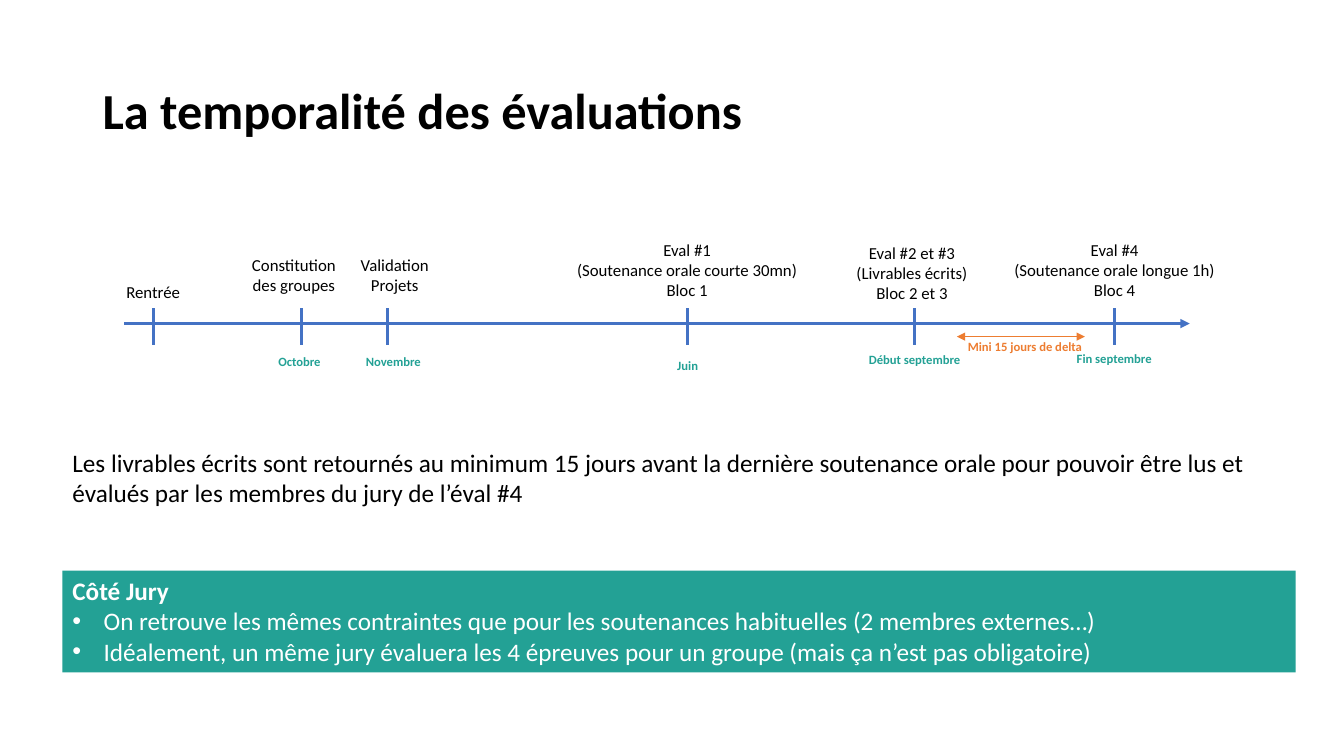
import pptx
import pptx.util
import pptx.dml.color
import pptx.enum.shapes
import pptx.enum.text
import pptx.oxml.ns
from lxml import etree
from pptx.util import Inches

BLACK, WHITE = "000000", "FFFFFF"
BLUE, TEAL, ORANGE = "4472C4", "23A195", "ED7D31"
LEFT = pptx.enum.text.PP_ALIGN.LEFT
CENTER = pptx.enum.text.PP_ALIGN.CENTER

MILESTONES = [
    (1.52, ["Rentrée"], (1.01, 2.75, 1.02, 0.3), None, None),
    (2.99, ["Constitution des groupes"], (2.39, 2.48, 1.05, 0.5), "Octobre", (2.41, 3.46)),
    (3.84, ["Validation Projets"], (3.44, 2.48, 0.95, 0.5), "Novembre", (3.34, 3.46)),
    (6.82, ["Eval #1", "(Soutenance orale courte 30mn)", "Bloc 1"],
     (5.62, 2.33, 2.39, 0.71), "Juin", (6.26, 3.5)),
    (9.07, ["Eval #2 et #3", "(Livrables écrits)", "Bloc 2 et 3"],
     (7.85, 2.36, 2.39, 0.71), "Début septembre", (8.51, 3.44)),
    (11.05, ["Eval #4", "(Soutenance orale longue 1h)", "Bloc 4"],
     (9.86, 2.33, 2.39, 0.71), "Fin septembre", (10.49, 3.43)),
]


def color(value):
    return pptx.dml.color.RGBColor.from_string(value)


def add_child(parent, tag, **attributes):
    return etree.SubElement(parent, pptx.oxml.ns.qn(tag), **attributes)


def style_paragraph(paragraph, text, size, text_color, bold=False, align=LEFT):
    paragraph.text = text
    paragraph.alignment = align
    font = paragraph.font
    font.name = "Calibri"
    font.size = pptx.util.Pt(size)
    font.bold = bold
    font.color.rgb = color(text_color)


def add_text(slide, box, lines, size, text_color, bold=False, align=LEFT):
    shape = slide.shapes.add_textbox(*map(Inches, box))
    frame = shape.text_frame
    frame.word_wrap = True
    for index, line in enumerate(lines):
        paragraph = frame.add_paragraph() if index else frame.paragraphs[0]
        style_paragraph(paragraph, line, size, text_color, bold, align)


def add_line(slide, start, end, line_color, width, arrowheads=()):
    connector = slide.shapes.add_connector(
        pptx.enum.shapes.MSO_CONNECTOR.STRAIGHT, *map(Inches, start + end))
    connector.line.color.rgb = color(line_color)
    connector.line.width = pptx.util.Pt(width)
    outline = connector.line._get_or_add_ln()
    for arrowhead in arrowheads:
        add_child(outline, arrowhead, type="triangle")
    add_child(connector._element.spPr, "a:effectLst")


def add_bullet(paragraph):
    properties = paragraph._p.get_or_add_pPr()
    properties.set("marL", str(Inches(0.31)))
    properties.set("indent", str(Inches(-0.31)))
    bullet_color = add_child(properties, "a:buClr")
    add_child(bullet_color, "a:srgbClr", val=WHITE)
    add_child(properties, "a:buFont", typeface="Arial")
    add_child(properties, "a:buChar", char="•")


def add_banner(slide, box, heading, items):
    shape = slide.shapes.add_shape(
        pptx.enum.shapes.MSO_SHAPE.RECTANGLE, *map(Inches, box))
    shape.shadow.inherit = False
    shape.fill.solid()
    shape.fill.fore_color.rgb = color(TEAL)
    shape.line.fill.background()
    frame = shape.text_frame
    frame.word_wrap = True
    frame.vertical_anchor = pptx.enum.text.MSO_ANCHOR.TOP
    style_paragraph(frame.paragraphs[0], heading, 18, WHITE, bold=True)
    for item in items:
        paragraph = frame.add_paragraph()
        add_bullet(paragraph)
        style_paragraph(paragraph, item, 18, WHITE)


def add_timeline(slide):
    add_line(slide, (1.23, 3.21), (11.8, 3.21), BLUE, 2.25, ["a:tailEnd"])
    for x, label, label_box, date, date_corner in MILESTONES:
        add_line(slide, (x, 3.06), (x, 3.42), BLUE, 2.25)
        add_text(slide, label_box, label, 12, BLACK, align=CENTER)
        if date:
            add_text(slide, date_corner + (1.12, 0.25), [date], 9, TEAL, True, CENTER)
    add_line(slide, (9.49, 3.34), (10.76, 3.34), ORANGE, 0.75, ["a:headEnd", "a:tailEnd"])
    add_text(slide, (9.42, 3.31, 1.49, 0.25), ["Mini 15 jours de delta"],
             9, ORANGE, True, CENTER)


def main():
    presentation = pptx.Presentation()
    presentation.slide_width = Inches(13.33)
    presentation.slide_height = Inches(7.5)
    slide = presentation.slides.add_slide(presentation.slide_layouts[6])
    add_text(slide, (0.92, 0.74, 10.76, 0.71), ["La temporalité des évaluations"],
             36, BLACK, bold=True)
    add_timeline(slide)
    add_text(slide, (0.62, 4.39, 11.93, 0.71), [
        "Les livrables écrits sont retournés au minimum 15 jours avant la dernière "
        "soutenance orale pour pouvoir être lus et évalués par les membres du jury "
        "de l’éval #4"], 18, BLACK)
    add_banner(slide, (0.62, 5.66, 12.23, 1.01), "Côté Jury", [
        "On retrouve les mêmes contraintes que pour les soutenances habituelles "
        "(2 membres externes…)",
        "Idéalement, un même jury évaluera les 4 épreuves pour un groupe "
        "(mais ça n’est pas obligatoire)"])
    presentation.save("out.pptx")


if __name__ == "__main__":
    main()
